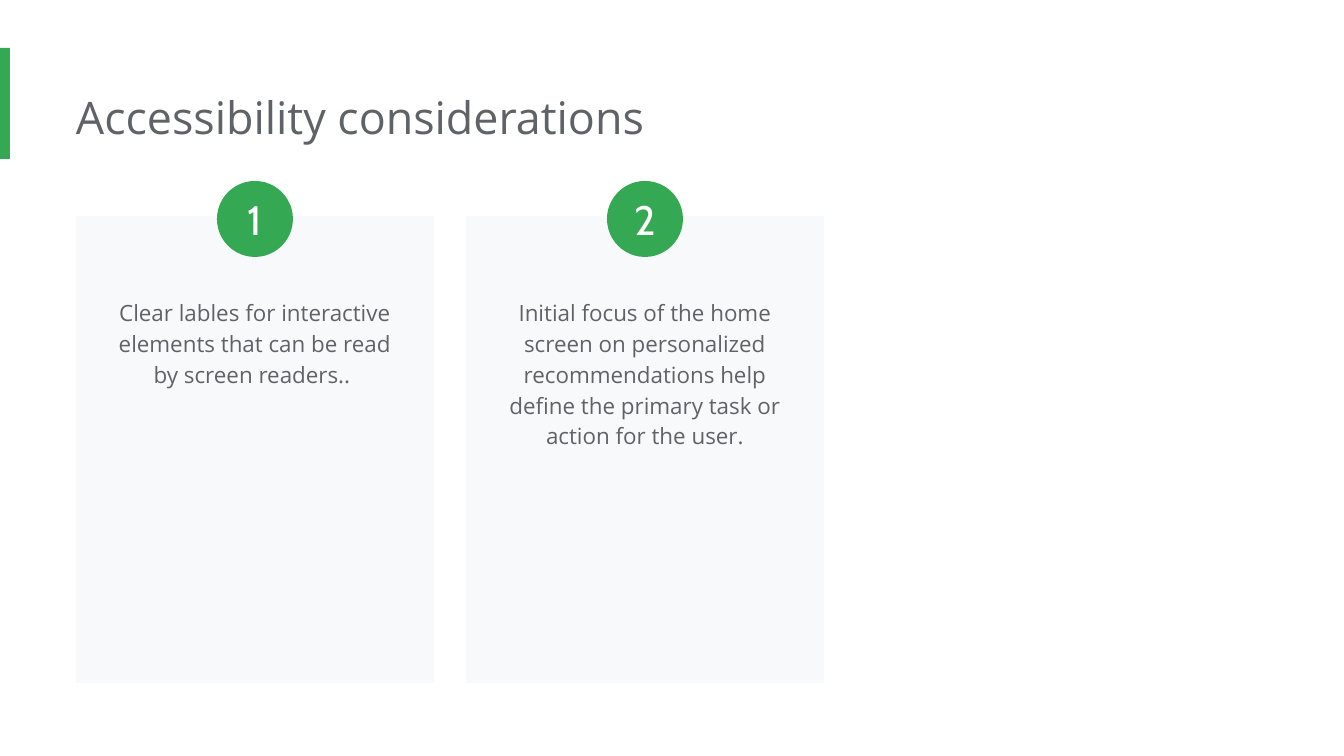
from pptx import Presentation
from pptx.dml.color import RGBColor
from pptx.enum.shapes import MSO_SHAPE
from pptx.enum.text import MSO_ANCHOR, MSO_AUTO_SIZE, PP_ALIGN
from pptx.util import Pt

EMU_PER_PX = 914400 / 134.4
GREEN, GRAY, PALE, WHITE = "34A853", "5F6368", "F8F9FA", "FFFFFF"
BODY_FONT, NUMBER_FONT = "Open Sans", "Cabin"


def px(length):
    return round(length * EMU_PER_PX)


def color(value):
    return RGBColor.from_string(value)


def write_text(shape, text, size, font=BODY_FONT, fill=GRAY, align=PP_ALIGN.LEFT,
               anchor=MSO_ANCHOR.TOP, margins=(13, 13, 13, 13), line_spacing=None,
               auto_size=MSO_AUTO_SIZE.NONE):
    frame = shape.text_frame
    frame.word_wrap = True
    frame.auto_size = auto_size
    frame.vertical_anchor = anchor
    (frame.margin_left, frame.margin_top,
     frame.margin_right, frame.margin_bottom) = map(px, margins)
    paragraph = frame.paragraphs[0]
    paragraph.alignment = align
    if line_spacing:
        paragraph.line_spacing = line_spacing
    run = paragraph.add_run()
    run.text = text
    run.font.size = Pt(size)
    run.font.name = font
    run.font.color.rgb = color(fill)


class SlideBuilder:
    def __init__(self, slide):
        self.slide = slide

    def shape(self, kind, left, top, width, height, fill):
        shape = self.slide.shapes.add_shape(kind, *map(px, (left, top, width, height)))
        shape.shadow.inherit = False
        shape.fill.solid()
        shape.fill.fore_color.rgb = color(fill)
        shape.line.fill.background()
        return shape

    def text(self, text, left, top, width, height, **style):
        box = self.slide.shapes.add_textbox(*map(px, (left, top, width, height)))
        write_text(box, text, auto_size=MSO_AUTO_SIZE.SHAPE_TO_FIT_TEXT, **style)

    def card(self, left, top, width, height, text, text_height):
        inset = 28
        self.shape(MSO_SHAPE.RECTANGLE, left, top, width, height, PALE)
        self.text(text, left + inset, top + 66, width - 2 * inset, text_height,
                  size=12, align=PP_ALIGN.CENTER, line_spacing=1.15)

    def badge(self, center, top, diameter, number):
        circle = self.shape(MSO_SHAPE.OVAL, center - diameter // 2, top,
                            diameter, diameter, GREEN)
        write_text(circle, str(number), size=22, font=NUMBER_FONT, fill=WHITE,
                   align=PP_ALIGN.CENTER, anchor=MSO_ANCHOR.MIDDLE, margins=(0, 0, 0, 0))


def main():
    presentation = Presentation()
    presentation.slide_width, presentation.slide_height = px(1344), px(756)
    slide = presentation.slides.add_slide(presentation.slide_layouts[6])
    slide.background.fill.solid()
    slide.background.fill.fore_color.rgb = color(WHITE)
    builder = SlideBuilder(slide)

    # Accent bar and title
    builder.shape(MSO_SHAPE.RECTANGLE, 0, 48, 10, 111, GREEN)
    builder.text("Accessibility considerations", 76, 77, 1030, 82,
                 size=24, margins=(0, 13, 13, 13))

    # Numbered cards
    considerations = [
        ("Clear lables for interactive elements that can be read by screen readers.. ", 121),
        ("Initial focus of the home screen on personalized recommendations help define "
         "the primary task or action for the user.", 183),
    ]
    card_left, card_width, gap = 76, 358, 32
    for index, (text, text_height) in enumerate(considerations):
        left = card_left + index * (card_width + gap)
        builder.card(left, 216, card_width, 467, text, text_height)
        builder.badge(left + card_width // 2, 181, 76, index + 1)

    presentation.save("out.pptx")


if __name__ == "__main__":
    main()
